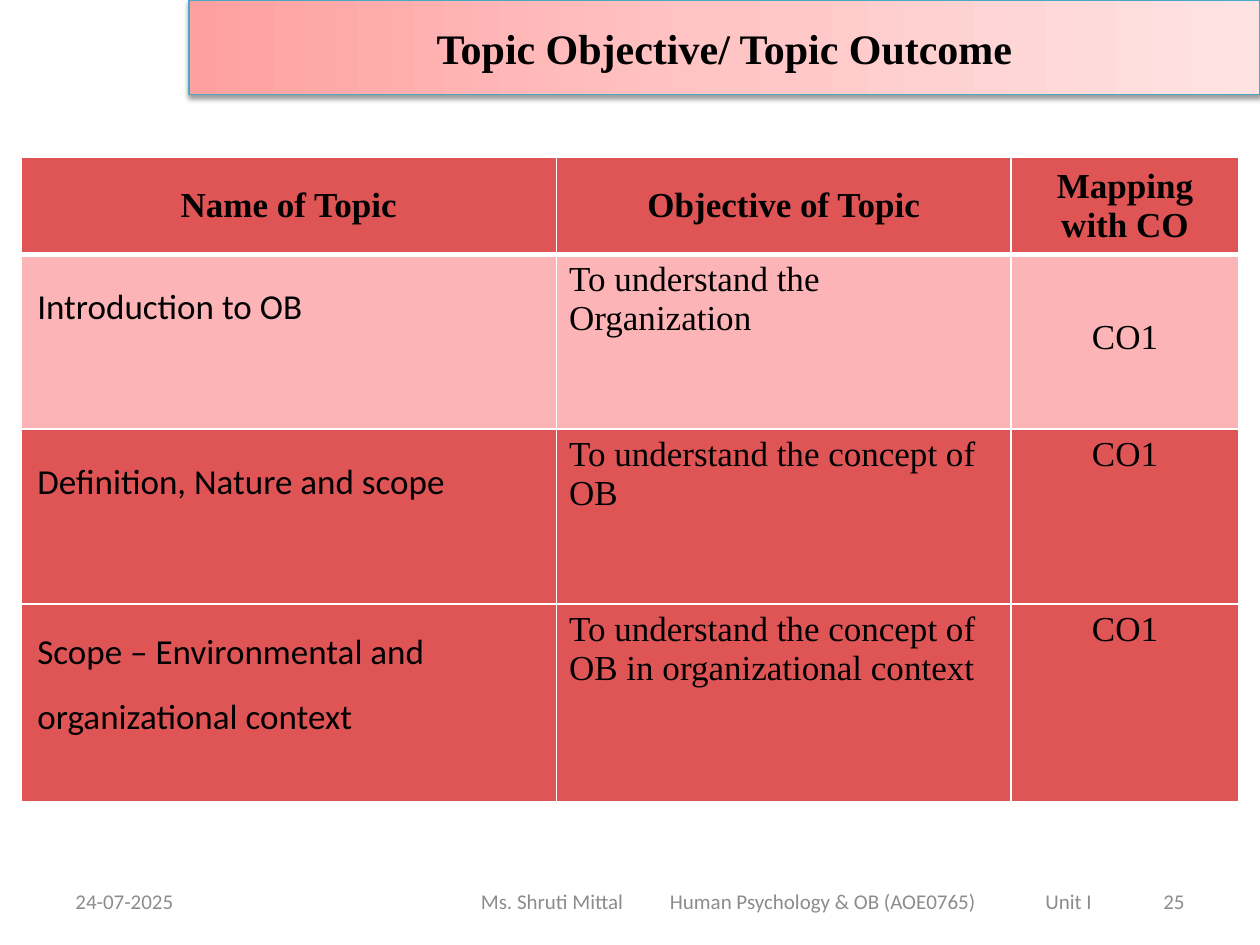
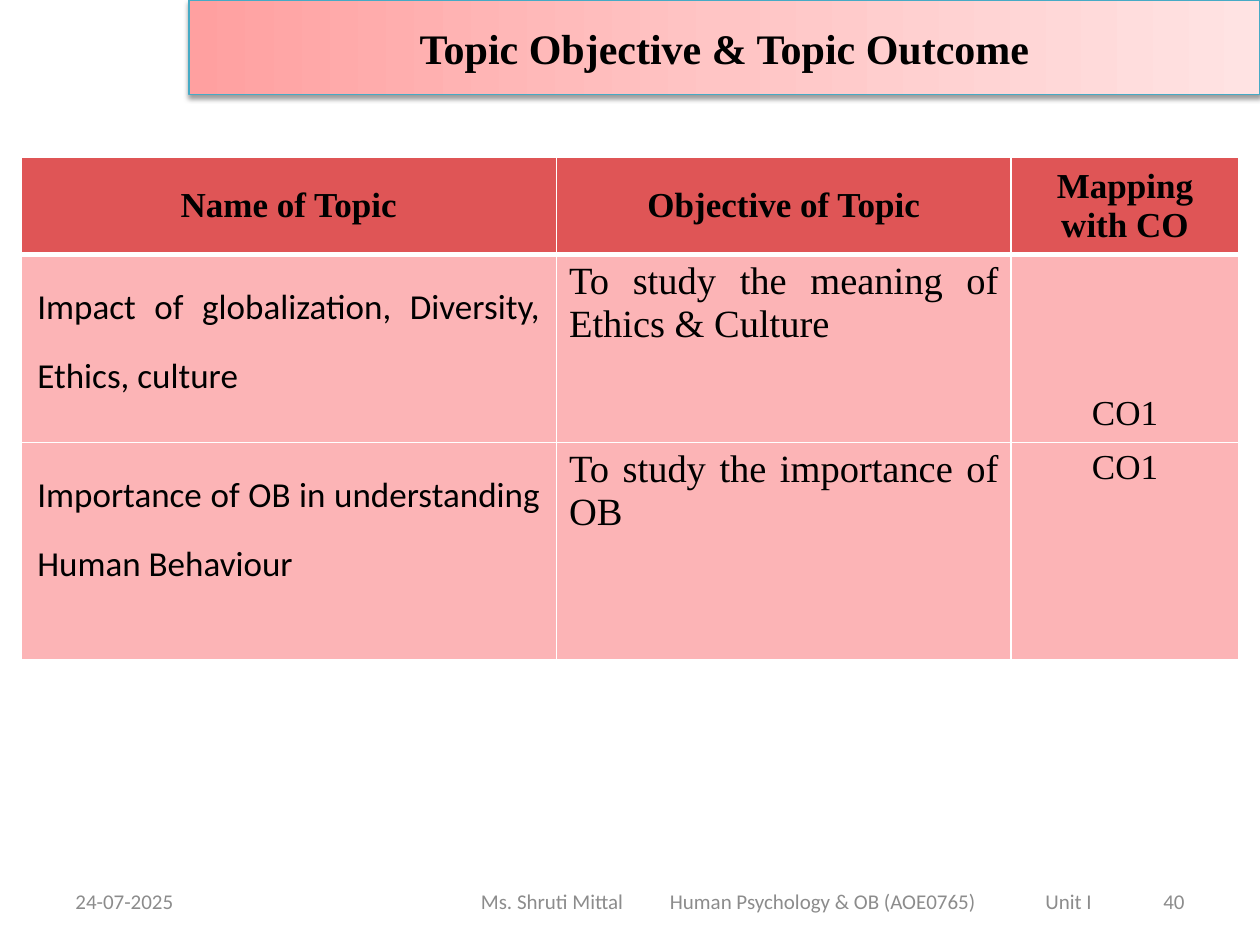
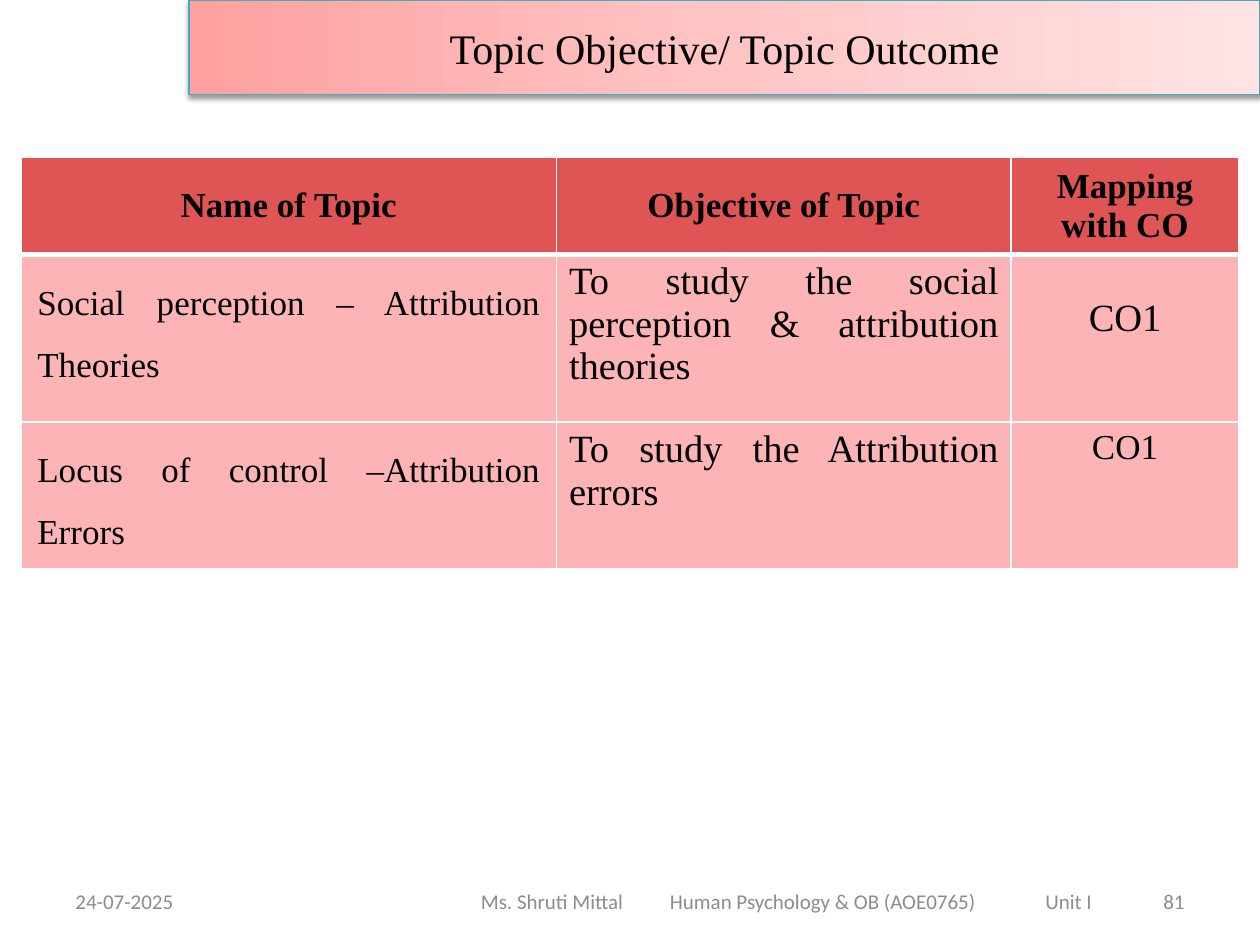
"""Build three topic-objective slides for a course on organisational behaviour."""
from copy import deepcopy
from dataclasses import dataclass

from lxml import etree
from pptx import Presentation
from pptx.dml.color import RGBColor
from pptx.enum.text import MSO_ANCHOR, PP_ALIGN
from pptx.oxml.ns import qn
from pptx.util import Emu, Inches, Pt

LEFT, CENTER, RIGHT, JUSTIFY = PP_ALIGN.LEFT, PP_ALIGN.CENTER, PP_ALIGN.RIGHT, PP_ALIGN.JUSTIFY
TOP, MIDDLE = MSO_ANCHOR.TOP, MSO_ANCHOR.MIDDLE

SLIDE_WIDTH, SLIDE_HEIGHT = Inches(10), Inches(7.5)
GRID_COLUMN, GRID_ROW = SLIDE_WIDTH / 60, SLIDE_HEIGHT / 60

BLACK = RGBColor(0x00, 0x00, 0x00)
WHITE = RGBColor(0xFF, 0xFF, 0xFF)
GRAY = RGBColor(0x8C, 0x8C, 0x8C)
RED = RGBColor(0xDF, 0x55, 0x56)
PINK = RGBColor(0xFC, 0xB4, 0xB6)
TEAL = RGBColor(0x46, 0xAA, 0xC5)
BAND_STOPS = (
    (0, RGBColor(0xFF, 0xA0, 0xA0)),
    (0.5, RGBColor(0xFF, 0xC5, 0xC5)),
    (1, RGBColor(0xFF, 0xE3, 0xE3)),
)

SERIF, SANS = "Times New Roman", "Calibri"
HEADINGS = ("Name of Topic", "Objective of Topic", "Mapping with CO")
TABLE_COLUMNS = (25.5, 21.65, 10.85)
HEADING_ROWS = 5.7
DATE = "24-07-2025"
FOOTER = "Ms. Shruti Mittal\tHuman Psychology & OB (AOE0765)\tUnit I"
FOOTER_TABS = (1.5, 4.48)


@dataclass(frozen=True)
class Area:
    """A rectangle in grid columns and rows."""

    left: float
    top: float
    width: float
    height: float

    def lengths(self) -> tuple[Emu, Emu, Emu, Emu]:
        """Return left, top, width and height as slide lengths."""
        return (columns(self.left), rows(self.top), columns(self.width), rows(self.height))


@dataclass(frozen=True)
class TextStyle:
    """Font and paragraph settings of one text."""

    size: float = 20
    font: str = SERIF
    color: RGBColor = BLACK
    bold: bool = False
    alignment: PP_ALIGN = LEFT
    line_spacing: float | None = None


@dataclass(frozen=True)
class Topic:
    """One body row of a topic table."""

    name: str
    objective: str
    height: float
    fill: RGBColor = PINK
    name_style: TextStyle = TextStyle(font=SANS, alignment=JUSTIFY, line_spacing=1.6)
    objective_style: TextStyle = TextStyle(size=22, alignment=JUSTIFY)
    outcome_size: float = 20
    outcome_top: float = 0.05


@dataclass(frozen=True)
class TopicSlide:
    """Content of one slide."""

    title: str
    number: int
    topics: tuple[Topic, ...]
    bold_title: bool = True


TITLE_AREA = Area(9, 0, 51, 6)
DATE_AREA = Area(3, 55.6, 14, 3.2)
FOOTER_AREA = Area(20.5, 55.6, 34, 3.2)
NUMBER_AREA = Area(43, 55.6, 14, 3.2)
HEADING_STYLE = TextStyle(bold=True, alignment=CENTER)
FOOTER_STYLE = TextStyle(12, SANS, GRAY)
NUMBER_STYLE = TextStyle(12, SANS, GRAY, alignment=RIGHT)
PLAIN = TextStyle()
SERIF_NAME = TextStyle(alignment=JUSTIFY, line_spacing=1.6)

SLIDES = (
    TopicSlide("Topic Objective/ Topic Outcome", 25, (
        Topic("Introduction to OB", "To understand the Organization", 11.1,
              objective_style=PLAIN, outcome_top=0.51),
        Topic("Definition, Nature and scope", "To understand the concept of OB", 11.1,
              RED, objective_style=PLAIN),
        Topic("Scope – Environmental and organizational context",
              "To understand the concept of OB in organizational context", 12.6,
              RED, TextStyle(font=SANS, line_spacing=1.5), PLAIN),
    )),
    TopicSlide("Topic Objective & Topic Outcome", 40, (
        Topic("Impact of globalization, Diversity, Ethics, culture",
              "To study the meaning of Ethics & Culture", 11.8, outcome_top=1.11),
        Topic("Importance of OB in understanding Human Behaviour",
              "To study the importance of OB", 13.8),
    )),
    TopicSlide("Topic Objective/ Topic Outcome", 81, (
        Topic("Social perception – Attribution Theories",
              "To study the social perception & attribution theories", 10.65,
              name_style=SERIF_NAME, outcome_size=22, outcome_top=0.34),
        Topic("Locus of control –Attribution Errors",
              "To study the Attribution errors", 9.15, name_style=SERIF_NAME),
    ), bold_title=False),
)


def columns(count: float) -> Emu:
    """Return the width of a number of grid columns."""
    return Emu(round(count * GRID_COLUMN))


def rows(count: float) -> Emu:
    """Return the height of a number of grid rows."""
    return Emu(round(count * GRID_ROW))


def write_text(text_frame, text: str, style: TextStyle, tabs: tuple[float, ...] = ()) -> None:
    """Write one styled paragraph, with optional tab stops in inches."""
    text_frame.word_wrap = True
    paragraph = text_frame.paragraphs[0]
    paragraph.text = text
    paragraph.alignment = style.alignment
    if style.line_spacing:
        paragraph.line_spacing = style.line_spacing
    if tabs:
        tab_list = etree.SubElement(paragraph._p.get_or_add_pPr(), qn("a:tabLst"))
        for position in tabs:
            etree.SubElement(tab_list, qn("a:tab"), pos=str(Inches(position)), algn="l")
    font = paragraph.font
    font.size, font.name, font.bold = Pt(style.size), style.font, style.bold
    font.color.rgb = style.color


def add_title(slide, content: TopicSlide) -> None:
    """Format the title placeholder as the shaded band."""
    title = slide.shapes.title
    title.left, title.top, title.width, title.height = TITLE_AREA.lengths()
    title.text_frame.vertical_anchor = MIDDLE
    write_text(title.text_frame, content.title,
               TextStyle(24, bold=content.bold_title, alignment=CENTER))
    title.line.color.rgb, title.line.width = TEAL, Pt(0.75)
    title.fill.gradient()
    title.fill.gradient_angle = 0
    stop_list = title._element.spPr.find(f".//{qn('a:gsLst')}")
    stop_list.append(deepcopy(stop_list[0]))
    for stop, (position, color) in zip(title.fill.gradient_stops, BAND_STOPS):
        stop.position, stop.color.rgb = position, color
    effects = etree.SubElement(title._element.spPr, qn("a:effectLst"))
    shadow = etree.SubElement(effects, qn("a:outerShdw"), blurRad=str(Pt(3.1)),
                              dist=str(Pt(1.6)), dir="5400000", rotWithShape="0")
    shade = etree.SubElement(shadow, qn("a:srgbClr"), val=str(BLACK))
    etree.SubElement(shade, qn("a:alpha"), val="38000")


def add_label(slide, area: Area, text: str, style: TextStyle,
              left_inset: float = 0.1, tabs: tuple[float, ...] = ()) -> None:
    """Add one footer text."""
    text_frame = slide.shapes.add_textbox(*area.lengths()).text_frame
    text_frame.vertical_anchor = MIDDLE
    text_frame.margin_left = Inches(left_inset)
    write_text(text_frame, text, style, tabs)


def set_borders(cell, top: float, bottom: float) -> None:
    """Draw white cell borders with the given top and bottom widths in points."""
    properties = cell._tc.get_or_add_tcPr()
    widths = (("a:lnL", 1), ("a:lnR", 1), ("a:lnT", top), ("a:lnB", bottom))
    for index, (tag, width) in enumerate(widths):
        line = etree.Element(qn(tag), w=str(Pt(width)))
        fill = etree.SubElement(line, qn("a:solidFill"))
        etree.SubElement(fill, qn("a:srgbClr"), val=str(WHITE))
        properties.insert(index, line)


def fill_cell(cell, text: str, style: TextStyle, fill: RGBColor, anchor: MSO_ANCHOR = TOP,
              side_inset: float = 0.13, top_inset: float = 0.05) -> None:
    """Write and format one table cell."""
    cell.fill.solid()
    cell.fill.fore_color.rgb = fill
    cell.vertical_anchor = anchor
    cell.margin_left = cell.margin_right = Inches(side_inset)
    cell.margin_top, cell.margin_bottom = Inches(top_inset), Inches(0.05)
    write_text(cell.text_frame, text, style)


def add_topic_table(slide, topics: tuple[Topic, ...]) -> None:
    """Add the table of topics, objectives and course outcomes."""
    heights = (HEADING_ROWS, *(topic.height for topic in topics))
    area = Area(1, 10, sum(TABLE_COLUMNS), sum(heights))
    table = slide.shapes.add_table(len(heights), len(TABLE_COLUMNS), *area.lengths()).table
    table.horz_banding = False
    for column, width in zip(table.columns, TABLE_COLUMNS):
        column.width = columns(width)
    for row, height in zip(table.rows, heights):
        row.height = rows(height)
    for index, heading in enumerate(HEADINGS):
        fill_cell(table.cell(0, index), heading, HEADING_STYLE, RED, MIDDLE)
    for index, topic in enumerate(topics, start=1):
        name, objective, outcome = table.rows[index].cells
        fill_cell(name, topic.name, topic.name_style, topic.fill)
        fill_cell(objective, topic.objective, topic.objective_style, topic.fill, side_inset=0.1)
        fill_cell(outcome, "CO1", TextStyle(topic.outcome_size, alignment=CENTER),
                  topic.fill, top_inset=topic.outcome_top)
    for index, row in enumerate(table.rows):
        for cell in row.cells:
            set_borders(cell, top=3 if index == 1 else 1, bottom=3 if index == 0 else 1)


def add_topic_slide(presentation, content: TopicSlide) -> None:
    """Add one complete slide."""
    slide = presentation.slides.add_slide(presentation.slide_layouts.get_by_name("Title Only"))
    add_label(slide, DATE_AREA, DATE, FOOTER_STYLE)
    add_label(slide, FOOTER_AREA, FOOTER, FOOTER_STYLE, 0.4, FOOTER_TABS)
    add_label(slide, NUMBER_AREA, str(content.number), NUMBER_STYLE)
    add_title(slide, content)
    add_topic_table(slide, content.topics)


def main() -> None:
    """Build and save the presentation."""
    presentation = Presentation()
    presentation.slide_width, presentation.slide_height = SLIDE_WIDTH, SLIDE_HEIGHT
    for content in SLIDES:
        add_topic_slide(presentation, content)
    presentation.save("out.pptx")


if __name__ == "__main__":
    main()
